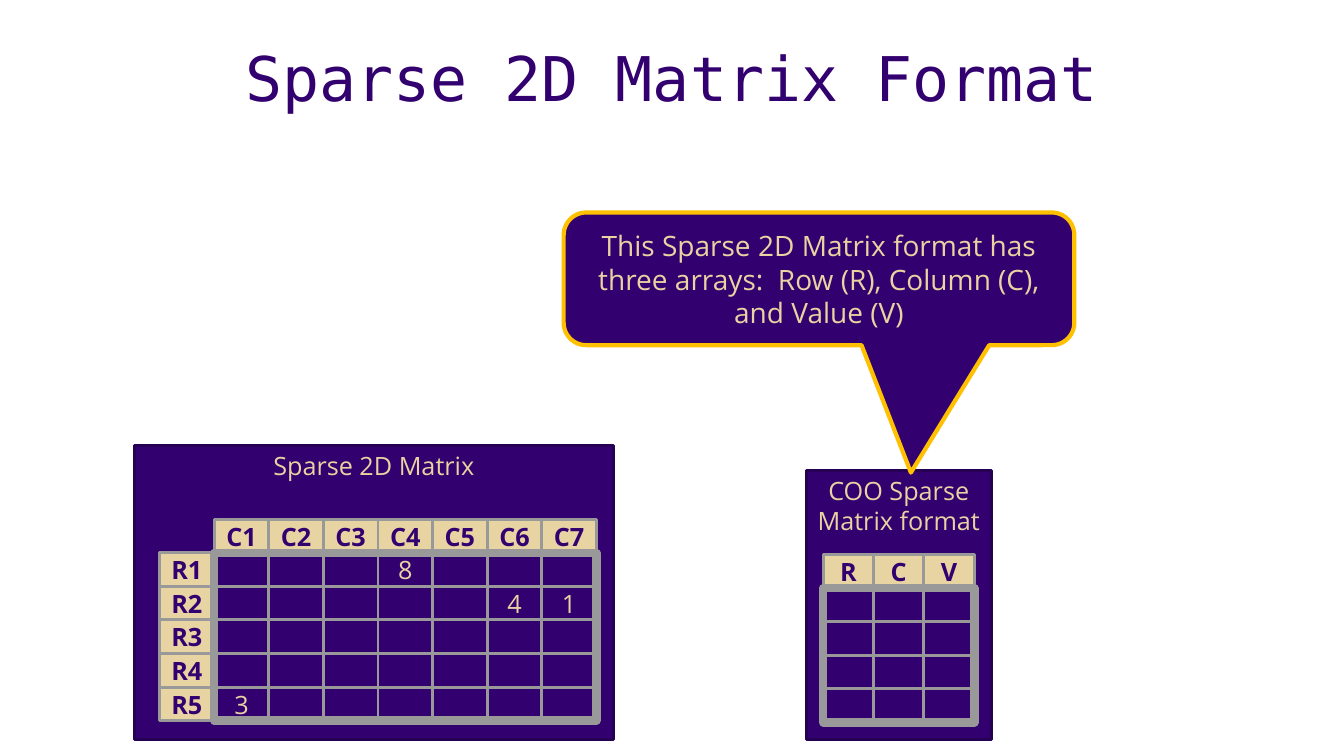
from pptx import Presentation
from pptx.dml.color import RGBColor
from pptx.enum.shapes import MSO_SHAPE
from pptx.enum.text import MSO_ANCHOR, PP_ALIGN
from pptx.util import Inches, Pt

PURPLE = RGBColor(0x33, 0x00, 0x6F)
DARK_PURPLE = RGBColor(0x26, 0x00, 0x52)
GOLD = RGBColor(0xE8, 0xD3, 0xA2)
AMBER = RGBColor(0xFF, 0xC0, 0x00)
GRAY = RGBColor(0x99, 0x99, 0x99)

COLUMNS, ROWS = 160, 90
UNIT = Inches(1) / 12


def write_text(shape, text, size=18, font="Open Sans", color=GOLD, bold=False,
               anchor=MSO_ANCHOR.MIDDLE, side_margin=0.1, end_margin=0.05):
    frame = shape.text_frame
    frame.word_wrap = True
    frame.vertical_anchor = anchor
    frame.margin_left = frame.margin_right = Inches(side_margin)
    frame.margin_top = frame.margin_bottom = Inches(end_margin)
    para = frame.paragraphs[0]
    para.alignment = PP_ALIGN.CENTER
    span = para.add_run()
    span.text = text
    span.font.size = Pt(size)
    span.font.name = font
    span.font.bold = bold
    span.font.color.rgb = color


class MatrixPage:
    """Draws matrix elements on one slide, measured in grid columns and rows."""

    def __init__(self, deck):
        self.page = deck.slides.add_slide(deck.slide_layouts[6])

    def place(self, *grid_box):
        return [round(length * UNIT) for length in grid_box]

    def title(self, text, *grid_box):
        box = self.page.shapes.add_textbox(*self.place(*grid_box))
        write_text(box, text, size=44, font="DejaVu Sans Mono", color=PURPLE)

    def block(self, *grid_box, fill=PURPLE, line=GRAY, weight=2,
              kind=MSO_SHAPE.RECTANGLE):
        shape = self.page.shapes.add_shape(kind, *self.place(*grid_box))
        shape.shadow.inherit = False
        if fill is None:
            shape.fill.background()
        else:
            shape.fill.solid()
            shape.fill.fore_color.rgb = fill
        shape.line.color.rgb = line
        shape.line.width = Pt(weight)
        return shape

    def panel(self, text, *grid_box):
        panel = self.block(*grid_box, line=DARK_PURPLE)
        write_text(panel, text, anchor=MSO_ANCHOR.TOP)

    def callout(self, text, *grid_box, adjustments):
        callout = self.block(*grid_box, line=AMBER, weight=3,
                             kind=MSO_SHAPE.ROUNDED_RECTANGULAR_CALLOUT)
        for index, value in enumerate(adjustments):
            callout.adjustments[index] = value
        write_text(callout, text, size=20)

    def cell(self, text, *grid_box, header=False):
        cell = self.block(*grid_box, fill=GOLD if header else PURPLE)
        if text:
            write_text(cell, text, color=PURPLE if header else GOLD,
                       bold=header, side_margin=0, end_margin=0)

    def matrix(self, left, top, width, height, column_names, row_count,
               row_names=(), values=None):
        values = values or {}
        for column, name in enumerate(column_names):
            x = left + column * width
            self.cell(name, x, top - height, width, height, header=True)
            for row in range(row_count):
                self.cell(values.get((row, column)), x, top + row * height,
                          width, height)
        for row, name in enumerate(row_names):
            self.cell(name, left - width, top + row * height, width, height,
                      header=True)
        self.block(left, top, width * len(column_names), height * row_count,
                   fill=None, weight=6)


def main():
    deck = Presentation()
    deck.slide_width = round(COLUMNS * UNIT)
    deck.slide_height = round(ROWS * UNIT)
    page = MatrixPage(deck)

    page.panel("COO Sparse Matrix format", 96, 56, 22, 32)
    page.title("Sparse 2D Matrix Format", 11, 3, 138, 12.25)
    page.matrix(98, 70, 6, 4, "RCV", 4)
    page.callout("This Sparse 2D Matrix format has three arrays:  Row (R), "
                 "Column (C), and Value (V)", 67.1, 25.3, 60.8, 15.8,
                 adjustments=(0.18, 1.46, 0.17))
    page.panel("Sparse 2D Matrix", 16, 53, 57, 35)
    page.matrix(25.5, 65.8, 6.5, 4,
                [f"C{number}" for number in range(1, 8)], 5,
                row_names=[f"R{number}" for number in range(1, 6)],
                values={(0, 3): "8", (1, 5): "4", (1, 6): "1", (4, 0): "3"})
    deck.save("out.pptx")


if __name__ == "__main__":
    main()
